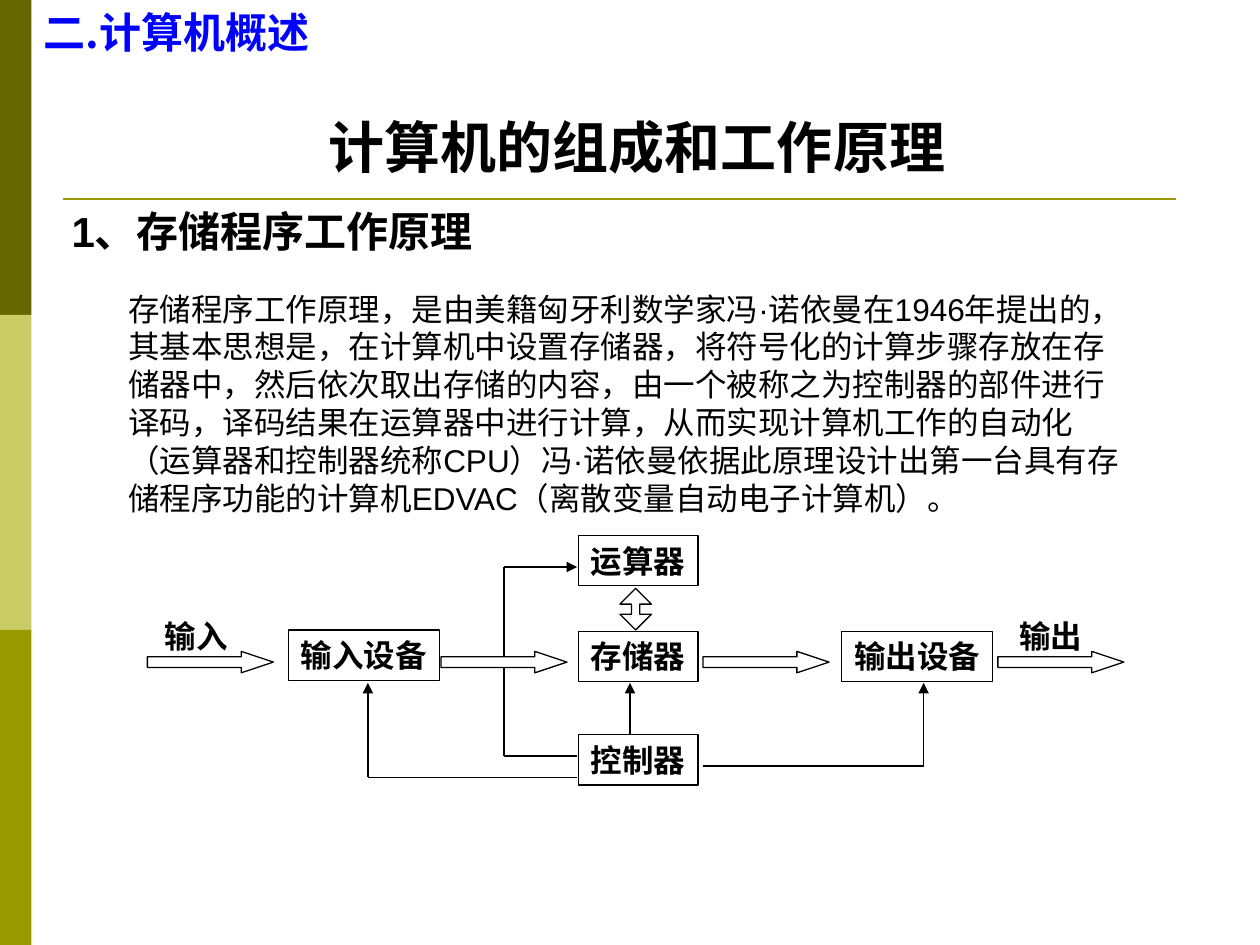
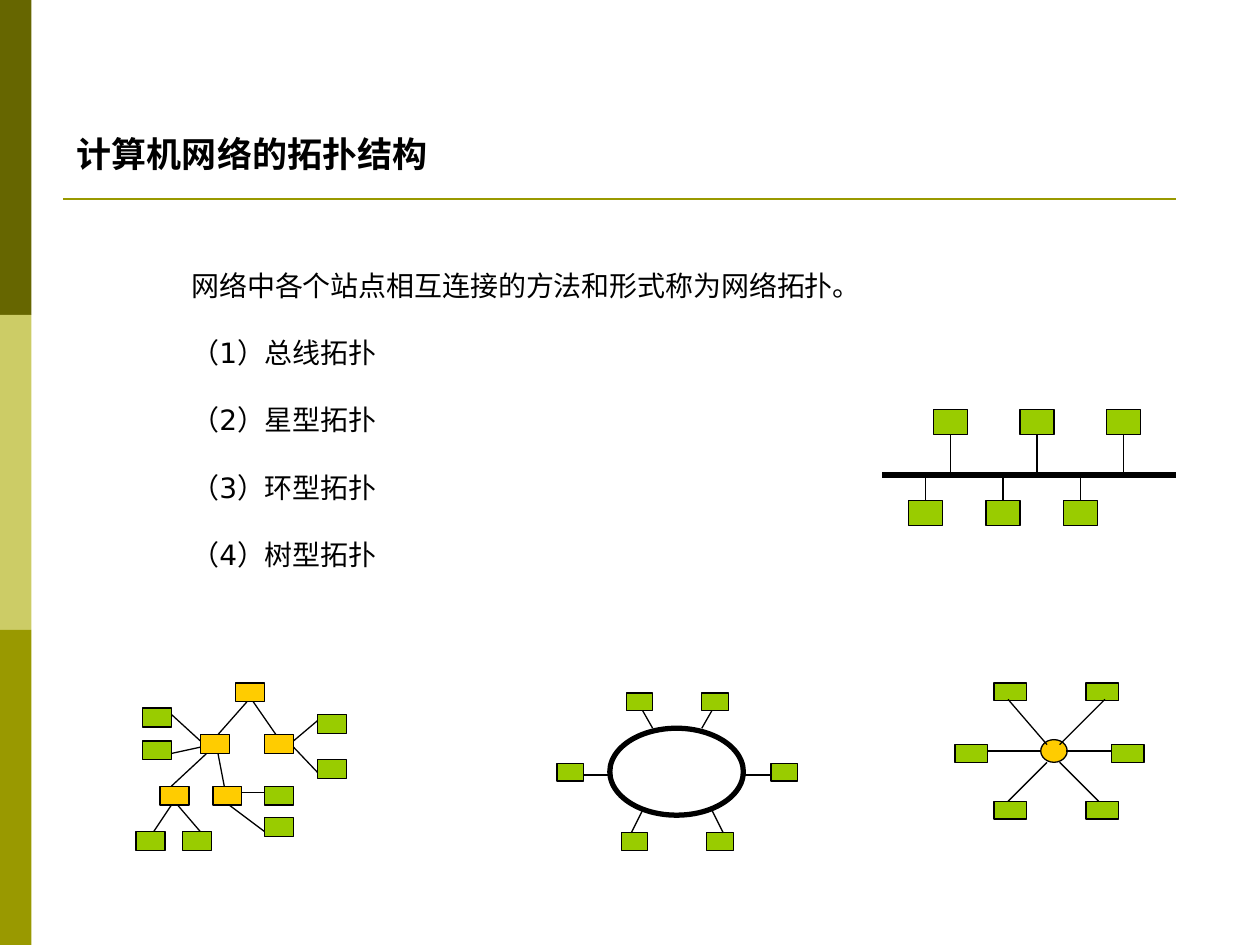
from itertools import pairwise

from lxml.etree import SubElement
from pptx import Presentation
from pptx.dml.color import RGBColor
from pptx.enum.shapes import MSO_CONNECTOR, MSO_SHAPE
from pptx.enum.text import MSO_ANCHOR, MSO_AUTO_SIZE, PP_ALIGN
from pptx.oxml.ns import qn
from pptx.util import Inches, Pt

# Theme: colours, fonts, type sizes and line widths
THEME = {
    "colors": {
        "black": RGBColor(0x00, 0x00, 0x00),
        "white": RGBColor(0xFF, 0xFF, 0xFF),
        "blue": RGBColor(0x00, 0x00, 0xFF),
        "dark_olive": RGBColor(0x66, 0x66, 0x00),
        "pale_olive": RGBColor(0xCC, 0xCC, 0x66),
        "olive": RGBColor(0x99, 0x99, 0x00),
        "green": RGBColor(0x99, 0xCC, 0x00),
        "amber": RGBColor(0xFF, 0xCC, 0x00),
    },
    "east_asian": "Noto Sans CJK SC",
    "thin": 0.75,
    "rule": 1.5,
    "thick": 3,
    "text": {
        "title": {"name": "Arial", "size": Pt(32), "bold": True},
        "section": {"name": "Noto Sans CJK SC", "size": Pt(24), "bold": True},
        "heading": {"name": "Arial", "size": Pt(24), "bold": True},
        "body": {"name": "Arial", "size": Pt(18), "bold": False},
        "label": {"name": "Arial", "size": Pt(18), "bold": True},
        "topic": {"name": "DejaVu Sans", "size": Pt(20), "bold": True},
        "list": {"name": "DejaVu Sans", "size": Pt(16), "bold": False},
    },
}

# Shared frame: side bands from top to bottom, and the line below the title
SIDE_BANDS = ["dark_olive", "pale_olive", "olive"]
BAND_WIDTH, BAND_HEIGHT = 0.25, 2.5
TITLE_RULE = [(0.5, 1.58), (9.33, 1.58)]

# Slide 1: text as (lines, place, style, colour, wrap)
PRINCIPLE_TITLE = ("计算机的组成和工作原理", (2.51, 0.84, 5.5, 0.64), "title")
PRINCIPLE_TEXTS = [
    (["二.计算机概述"], (0.25, 0, 3.65, 0.5), "section", "blue", True),
    (["1、存储程序工作原理"], (0.47, 1.58, 3.46, 0.5), "heading", "black", False),
    ([
        "存储程序工作原理，是由美籍匈牙利数学家冯·诺依曼在1946年提出的，"
        "其基本思想是，在计算机中设置存储器，将符号化的计算步骤存放在存储器中，"
        "然后依次取出存储的内容，由一个被称之为控制器的部件进行译码，"
        "译码结果在运算器中进行计算，从而实现计算机工作的自动化"
        "（运算器和控制器统称CPU）冯·诺依曼依据此原理设计出第一台具有"
        "存储程序功能的计算机EDVAC（离散变量自动电子计算机）。"
    ], (0.92, 2.25, 8.17, 1.9), "body", "black", True),
    (["输入"], (1.21, 4.85, 0.7, 0.4), "label", "black", False),
    (["输出"], (7.99, 4.85, 0.7, 0.4), "label", "black", False),
]
COMPUTER_UNITS = [
    ("运算器", (4.59, 4.25, 0.95, 0.4)),
    ("存储器", (4.59, 5.01, 0.95, 0.4)),
    ("控制器", (4.59, 5.83, 0.95, 0.4)),
    ("输入设备", (2.29, 5, 1.2, 0.4)),
    ("输出设备", (6.68, 5.01, 1.2, 0.4)),
]
CONTROL_ROUTES = [
    [(4.58, 6.17), (2.92, 6.17), (2.92, 5.42)],
    [(5.58, 6.08), (7.33, 6.08), (7.33, 5.42)],
    [(5, 5.83), (5, 5.42)],
    [(4.58, 6), (4, 6), (4, 4.5), (4.58, 4.5)],
]
DATA_ARROW_LEFTS = [1.17, 3.5, 5.58, 7.92]

# Slide 2: text, then the four networks
TOPOLOGY_TITLE = ("计算机网络的拓扑结构", (0.51, 1, 3.4, 0.44), "topic")
TOPOLOGY_LINES = [
    "网络中各个站点相互连接的方法和形式称为网络拓扑。",
    "（1）总线拓扑",
    "（2）星型拓扑",
    "（3）环型拓扑",
    "（4）树型拓扑",
]
TOPOLOGY_BOX = (1.42, 2.08, 5.52, 2.5)

BUS_LINE = [(7, 3.77), (9.33, 3.77)]
BUS_STATION = (0.27, 0.2)
# Each row: first left, step, top, and the edge that faces the bus
BUS_ROWS = [(7.41, 0.685, 3.25, 3.45), (7.21, 0.615, 3.97, 3.97)]
STATIONS_PER_ROW = 3

STAR_HUB = (8.26, 5.87, 0.21, 0.18)
RING = (4.84, 5.78, 1.06, 0.69)
NETWORKS = {
    "star": {
        "station": (0.26, 0.14),
        "green": [(7.89, 6.36), (7.89, 5.42), (7.58, 5.91),
                  (8.62, 5.42), (8.82, 5.91), (8.62, 6.36)],
        "links": [
            [(8.26, 5.96), (7.84, 5.96)], [(8, 5.55), (8.31, 5.91)],
            [(8.77, 5.55), (8.41, 5.91)], [(8.82, 5.96), (8.46, 5.96)],
            [(8, 6.36), (8.31, 6.05)], [(8.72, 6.36), (8.41, 6.05)],
        ],
    },
    "ring": {
        "station": (0.21, 0.14),
        "green": [(4.42, 6.06), (4.97, 5.5), (6.12, 6.06),
                  (5.61, 6.61), (4.93, 6.61), (5.57, 5.5)],
        "links": [
            [(4.84, 6.15), (4.63, 6.15)], [(5.1, 5.64), (5.18, 5.78)],
            [(6.12, 6.15), (5.91, 6.15)], [(5.01, 6.61), (5.1, 6.43)],
            [(5.74, 6.61), (5.65, 6.43)], [(5.65, 5.64), (5.57, 5.78)],
        ],
    },
    "tree": {
        "station": (0.23, 0.15),
        "amber": [(1.87, 5.42), (1.59, 5.83), (2.1, 5.83), (1.27, 6.24), (1.69, 6.24)],
        "green": [(2.52, 6.03), (2.52, 5.67), (1.08, 6.6), (1.45, 6.6),
                  (2.1, 6.49), (2.1, 6.24), (1.13, 5.62), (1.13, 5.88)],
        "links": [
            [(1.96, 5.57), (1.73, 5.83)], [(2.01, 5.57), (2.19, 5.83)],
            [(1.73, 5.98), (1.78, 6.24)], [(1.64, 5.98), (1.36, 6.24)],
            [(1.36, 6.39), (1.22, 6.6)], [(1.41, 6.39), (1.59, 6.6)],
            [(1.92, 6.29), (2.1, 6.29)], [(1.82, 6.39), (2.1, 6.6)],
            [(2.33, 5.88), (2.52, 5.72)], [(2.33, 5.93), (2.52, 6.13)],
            [(1.59, 5.88), (1.36, 5.67)], [(1.59, 5.93), (1.36, 5.98)],
        ],
    },
}


# Drawing helpers
def inches(values):
    return [Inches(value) for value in values]


def write_text(box, lines, style, color="black", wrap=False, gap=0):
    frame = box.text_frame
    frame_format = {
        "word_wrap": wrap,
        "auto_size": MSO_AUTO_SIZE.NONE,
        "vertical_anchor": MSO_ANCHOR.TOP,
        "margin_left": Inches(0.1),
        "margin_right": Inches(0.1),
        "margin_top": Inches(0.05),
        "margin_bottom": Inches(0.05),
    }
    for name, value in frame_format.items():
        setattr(frame, name, value)
    for index, line in enumerate(lines):
        para = frame.add_paragraph() if index else frame.paragraphs[0]
        para.alignment = PP_ALIGN.LEFT
        para.space_before = Pt(gap if index else 0)
        # Keep punctuation inside the right margin
        para._element.get_or_add_pPr().set("hangingPunct", "0")
        span = para.add_run()
        span.text = line
        for name, value in THEME["text"][style].items():
            setattr(span.font, name, value)
        span.font.color.rgb = THEME["colors"][color]
        east_asian = SubElement(span.font._element, qn("a:ea"))
        east_asian.set("typeface", THEME["east_asian"])


def add_text(page, lines, place, style, color="black", wrap=False, gap=0):
    box = page.shapes.add_textbox(*inches(place))
    write_text(box, lines, style, color, wrap, gap)


def add_figure(page, kind, place, fill=None, line="thin", adjustments=()):
    figure = page.shapes.add_shape(kind, *inches(place))
    figure.shadow.inherit = False
    if fill:
        figure.fill.solid()
        figure.fill.fore_color.rgb = THEME["colors"][fill]
    else:
        figure.fill.background()
    if line:
        figure.line.color.rgb = THEME["colors"]["black"]
        figure.line.width = Pt(THEME[line])
    else:
        figure.line.fill.background()
    for index, value in enumerate(adjustments):
        figure.adjustments[index] = value
    return figure


def add_route(page, points, color="black", line="thin", arrow=False):
    """Join the points with straight lines; the last may end in an arrowhead."""
    for start, end in pairwise(points):
        link = page.shapes.add_connector(
            MSO_CONNECTOR.STRAIGHT, *inches(start), *inches(end))
        link.line.color.rgb = THEME["colors"][color]
        link.line.width = Pt(THEME[line])
        properties = link._element.spPr
        if arrow and end == points[-1]:
            head = SubElement(properties.find(qn("a:ln")), qn("a:tailEnd"))
            head.set("type", "triangle")
        SubElement(properties, qn("a:effectLst"))


def add_page(deck, title, place, style):
    page = deck.slides.add_slide(deck.slide_layouts.get_by_name("Title Only"))
    for index, color in enumerate(SIDE_BANDS):
        band = (0, index * BAND_HEIGHT, BAND_WIDTH, BAND_HEIGHT)
        add_figure(page, MSO_SHAPE.RECTANGLE, band, color, None)
    add_route(page, TITLE_RULE, "olive", "rule")
    heading = page.shapes.title
    heading.left, heading.top, heading.width, heading.height = inches(place)
    write_text(heading, [title], style, wrap=True)
    return page


def add_stations(page, corners, size, color):
    for corner in corners:
        add_figure(page, MSO_SHAPE.RECTANGLE, (*corner, *size), color)


def add_network(page, network):
    for color in ("amber", "green"):
        add_stations(page, network.get(color, []), network["station"], color)
    for link in network["links"]:
        add_route(page, link)


# Slides
def add_principle_page(deck):
    page = add_page(deck, *PRINCIPLE_TITLE)
    for name, place in COMPUTER_UNITS:
        unit = add_figure(page, MSO_SHAPE.RECTANGLE, place)
        write_text(unit, [name], "label")
    for route in CONTROL_ROUTES:
        add_route(page, route, arrow=True)
    for left in DATA_ARROW_LEFTS:
        add_figure(page, MSO_SHAPE.RIGHT_ARROW, (left, 5.17, 1, 0.17),
                   "white", adjustments=(0.5, 1.5))
    add_figure(page, MSO_SHAPE.UP_DOWN_ARROW, (4.92, 4.67, 0.25, 0.33),
               "white", adjustments=(0.5, 0.26))
    for text in PRINCIPLE_TEXTS:
        add_text(page, *text)


def add_bus(page):
    add_route(page, BUS_LINE, line="thick")
    bus_height = BUS_LINE[0][1]
    for first, step, top, edge in BUS_ROWS:
        lefts = [first + index * step for index in range(STATIONS_PER_ROW)]
        add_stations(page, [(left, top) for left in lefts], BUS_STATION, "green")
        for left in lefts:
            middle = left + BUS_STATION[0] / 2
            add_route(page, [(middle, edge), (middle, bus_height)])


def add_topology_page(deck):
    page = add_page(deck, *TOPOLOGY_TITLE)
    add_text(page, TOPOLOGY_LINES, TOPOLOGY_BOX, "list", gap=19.3)
    add_bus(page)
    add_figure(page, MSO_SHAPE.OVAL, STAR_HUB, "amber")
    add_figure(page, MSO_SHAPE.OVAL, RING, line="thick")
    for network in NETWORKS.values():
        add_network(page, network)


def main():
    deck = Presentation()
    deck.slide_width, deck.slide_height = Inches(10), Inches(7.5)
    add_principle_page(deck)
    add_topology_page(deck)
    deck.save("out.pptx")


if __name__ == "__main__":
    main()
